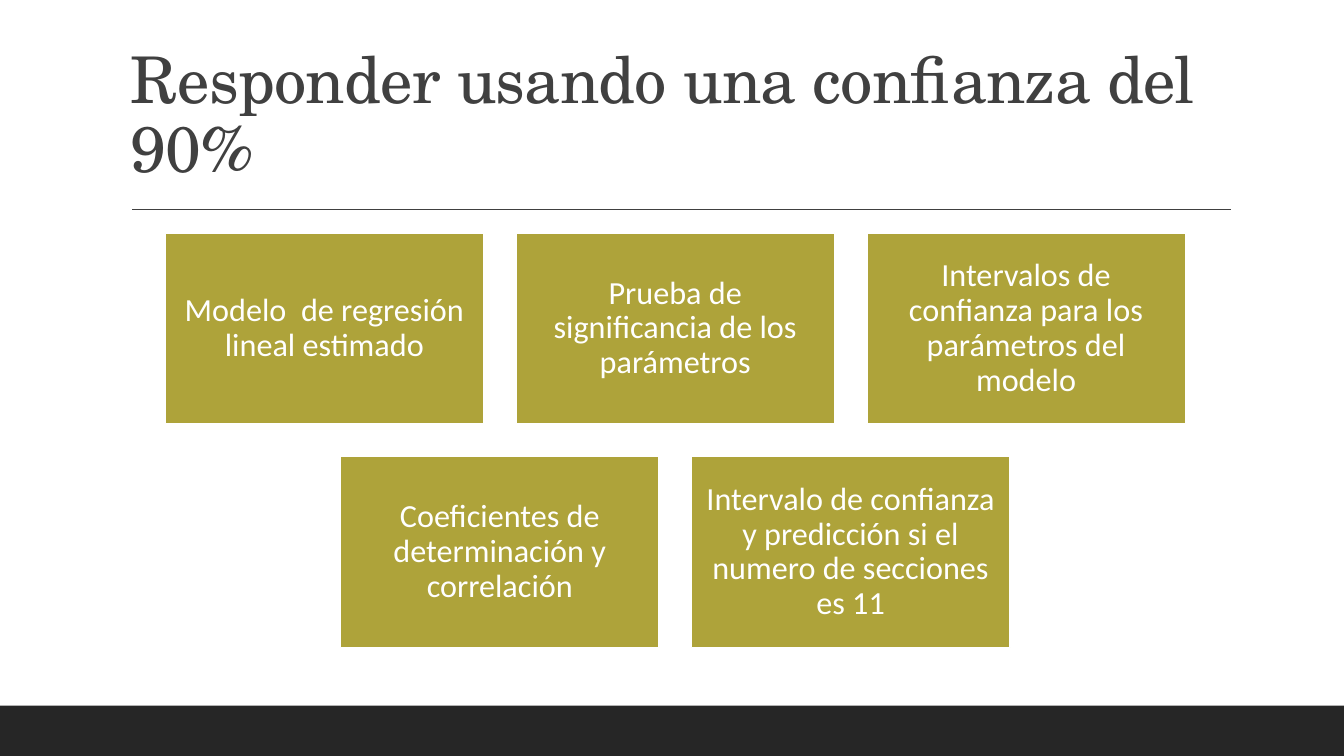
from dataclasses import dataclass

from lxml.etree import SubElement
from pptx import Presentation
from pptx.dml.color import RGBColor
from pptx.enum.shapes import MSO_CONNECTOR, MSO_SHAPE
from pptx.enum.text import MSO_ANCHOR, PP_ALIGN
from pptx.oxml.ns import qn
from pptx.shapes.autoshape import Shape
from pptx.slide import Slide
from pptx.util import Cm, Pt

COLORS = {"dark": "262626", "ink": "404040", "olive": "AEA33A", "white": "FFFFFF"}

PAGE_WIDTH, PAGE_HEIGHT = 33.87, 19.05
FOOTER_HEIGHT = 1.27
CARD_WIDTH, CARD_HEIGHT, CARD_GAP = 8.03, 4.82, 0.81
CARDS_CENTER, CARDS_TOP = 17.02, 5.87

TOPIC_ROWS = [
    [
        "Modelo  de regresión lineal estimado",
        "Prueba de significancia de los parámetros",
        "Intervalos de confianza para los parámetros del modelo",
    ],
    [
        "Coeficientes de determinación y correlación",
        "Intervalo de confianza y predicción si el numero de secciones es 11",
    ],
]


@dataclass(frozen=True)
class Frame:
    left: float
    top: float
    width: float
    height: float

    def lengths(self) -> tuple[Cm, Cm, Cm, Cm]:
        return Cm(self.left), Cm(self.top), Cm(self.width), Cm(self.height)


@dataclass(frozen=True)
class TextStyle:
    font: str
    size: float
    color: str
    align: PP_ALIGN
    anchor: MSO_ANCHOR
    spacing: int = 0  # hundredths of a point


TITLE_STYLE = TextStyle("TeX Gyre Schola", 46, "ink", PP_ALIGN.LEFT, MSO_ANCHOR.BOTTOM, -50)
CARD_STYLE = TextStyle("Calibri", 23, "white", PP_ALIGN.CENTER, MSO_ANCHOR.MIDDLE)


def rgb(name: str) -> RGBColor:
    return RGBColor.from_string(COLORS[name])


def write_text(box: Shape, text: str, style: TextStyle) -> None:
    frame = box.text_frame
    frame.word_wrap = True
    frame.vertical_anchor = style.anchor
    para = frame.paragraphs[0]
    para.alignment = style.align
    para.line_spacing = 0.9
    span = para.add_run()
    span.text = text
    span.font.name = style.font
    span.font.size = Pt(style.size)
    span.font.color.rgb = rgb(style.color)
    if style.spacing:
        span.font._element.set("spc", str(style.spacing))


def add_rectangle(page: Slide, frame: Frame, fill: str) -> Shape:
    box = page.shapes.add_shape(MSO_SHAPE.RECTANGLE, *frame.lengths())
    box.shadow.inherit = False
    box.fill.solid()
    box.fill.fore_color.rgb = rgb(fill)
    box.line.fill.background()
    return box


def add_card(page: Slide, frame: Frame, text: str) -> None:
    card = add_rectangle(page, frame, "olive")
    card.line.color.rgb = rgb("white")
    card.line.width = Pt(1.25)
    body = card.text_frame
    body.margin_left = body.margin_right = Cm(0.25)
    body.margin_top = body.margin_bottom = Cm(0.25)
    write_text(card, text, CARD_STYLE)


def add_rule(page: Slide, left: float, right: float, top: float) -> None:
    rule = page.shapes.add_connector(
        MSO_CONNECTOR.STRAIGHT, Cm(left), Cm(top), Cm(right), Cm(top)
    )
    rule.line.color.rgb = rgb("ink")
    rule.line.width = Pt(1)
    SubElement(rule._element.spPr, qn("a:effectLst"))


def main() -> None:
    deck = Presentation()
    deck.slide_width, deck.slide_height = Cm(PAGE_WIDTH), Cm(PAGE_HEIGHT)
    page = deck.slides.add_slide(deck.slide_layouts[6])

    # Footer band and title rule
    footer_top = PAGE_HEIGHT - FOOTER_HEIGHT
    add_rectangle(page, Frame(0, footer_top, PAGE_WIDTH, FOOTER_HEIGHT), "dark")
    add_rule(page, 3.33, 31.01, 5.28)

    # Title
    title = page.shapes.add_textbox(*Frame(3.05, 0.79, 27.94, 4.04).lengths())
    write_text(title, "Responder usando una confianza del 90%", TITLE_STYLE)

    # Topic cards, each row centred
    for row, topics in enumerate(TOPIC_ROWS):
        row_width = len(topics) * (CARD_WIDTH + CARD_GAP) - CARD_GAP
        row_left = CARDS_CENTER - row_width / 2
        top = CARDS_TOP + row * (CARD_HEIGHT + CARD_GAP)
        for column, topic in enumerate(topics):
            left = row_left + column * (CARD_WIDTH + CARD_GAP)
            add_card(page, Frame(left, top, CARD_WIDTH, CARD_HEIGHT), topic)

    deck.save("out.pptx")


if __name__ == "__main__":
    main()
